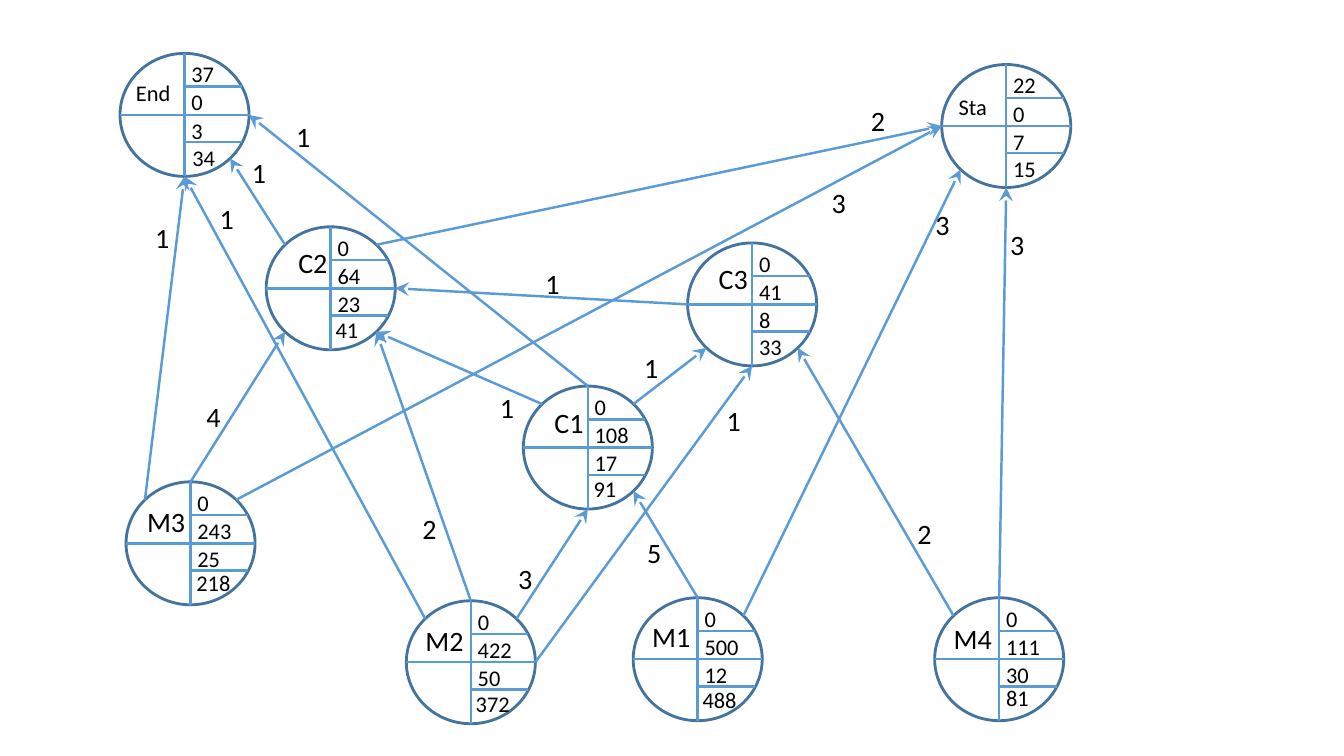
import math
from dataclasses import dataclass
from enum import IntEnum

import lxml.etree
import pptx
import pptx.dml.color
import pptx.enum.shapes
import pptx.enum.text
import pptx.oxml.ns
import pptx.shapes.autoshape
import pptx.shapes.connector
import pptx.slide
import pptx.util

Inches = pptx.util.Inches
qn = pptx.oxml.ns.qn

COLORS = {"outline": "43739E", "line": "5B9BD5", "text": "000000"}
FONT = "Calibri"
WIDTH, HEIGHT = 1.28, 1.22
ROW_STEP = 0.28
UPPER_RULE, LOWER_RULE, RULE_LENGTH = 0.33, 0.88, 0.57
VALUE_SIZE, NAME_SIZE = 16, 20


class Site(IntEnum):
    TOP = 0
    TOP_LEFT = 1
    LEFT = 2
    BOTTOM_LEFT = 3
    BOTTOM = 4
    BOTTOM_RIGHT = 5
    RIGHT = 6
    TOP_RIGHT = 7


@dataclass(frozen=True)
class Node:
    name: str
    center_x: float
    top: float
    name_dx: float
    name_dy: float
    name_width: float
    values: tuple[int, int, int, int]
    last_dx: float = -0.03
    last_dy: float = 0.85
    name_size: int = NAME_SIZE

    def site(self, site: Site) -> tuple[float, float]:
        angle = math.radians(90 + 45 * site)
        return (self.center_x + WIDTH / 2 * math.cos(angle),
                self.top + HEIGHT / 2 * (1 - math.sin(angle)))


@dataclass(frozen=True)
class Edge:
    source: str
    source_site: Site
    target: str
    target_site: Site
    weight: int
    label_left: float
    label_top: float


NODES = [
    Node("End", 1.83, 0.53, -0.58, 0.21, 0.55, (37, 0, 3, 34), -0.02, name_size=VALUE_SIZE),
    Node("Sta", 9.98, 0.64, -0.57, 0.24, 0.48, (22, 0, 7, 15), name_size=VALUE_SIZE),
    Node("C2", 3.28, 2.25, -0.42, 0.14, 0.49, (0, 64, 23, 41), -0.05, 0.84),
    Node("C1", 5.83, 3.83, -0.43, 0.14, 0.49, (0, 108, 17, 91), -0.04, 0.83),
    Node("C3", 7.46, 2.41, -0.43, 0.14, 0.49, (0, 41, 8, 33)),
    Node("M3", 1.89, 4.78, -0.53, 0.18, 0.58, (0, 243, 25, 218), -0.04, 0.82),
    Node("M2", 4.67, 5.96, -0.55, 0.18, 0.58, (0, 422, 50, 372), -0.05, 0.84),
    Node("M1", 6.92, 5.93, -0.55, 0.17, 0.58, (0, 500, 12, 488), -0.05, 0.83),
    Node("M4", 9.91, 5.93, -0.55, 0.19, 0.58, (0, 111, 30, 81), -0.03, 0.81),
]

EDGES = [
    Edge("C2", Site.TOP_LEFT, "End", Site.BOTTOM_RIGHT, 1, 2.4, 1.49),
    Edge("C2", Site.TOP_RIGHT, "Sta", Site.LEFT, 2, 8.54, 0.98),
    Edge("M2", Site.TOP_LEFT, "End", Site.BOTTOM, 1, 2.08, 1.95),
    Edge("C1", Site.TOP, "End", Site.RIGHT, 1, 2.84, 1.14),
    Edge("M3", Site.TOP_LEFT, "End", Site.BOTTOM, 1, 1.44, 2.14),
    Edge("M1", Site.TOP_RIGHT, "Sta", Site.BOTTOM_LEFT, 3, 9.18, 2.01),
    Edge("M4", Site.TOP, "Sta", Site.BOTTOM, 3, 9.92, 2.21),
    Edge("M2", Site.TOP, "C2", Site.BOTTOM_RIGHT, 2, 4.09, 5.03),
    Edge("M3", Site.TOP, "C2", Site.BOTTOM_LEFT, 4, 1.95, 3.91),
    Edge("C3", Site.LEFT, "C2", Site.RIGHT, 1, 5.31, 2.59),
    Edge("C1", Site.TOP_RIGHT, "C3", Site.BOTTOM_LEFT, 1, 6.29, 3.43),
    Edge("M2", Site.TOP_RIGHT, "C1", Site.BOTTOM, 3, 5.04, 5.52),
    Edge("M1", Site.TOP, "C1", Site.BOTTOM_RIGHT, 5, 6.32, 5.26),
    Edge("M2", Site.RIGHT, "C3", Site.BOTTOM, 1, 7.11, 3.95),
    Edge("M3", Site.TOP_RIGHT, "Sta", Site.LEFT, 3, 8.15, 1.79),
    Edge("M4", Site.TOP_LEFT, "C3", Site.BOTTOM_RIGHT, 2, 9, 5.07),
    Edge("C1", Site.TOP_LEFT, "C2", Site.BOTTOM_RIGHT, 1, 4.86, 3.83),
]


def color(name: str) -> pptx.dml.color.RGBColor:
    return pptx.dml.color.RGBColor.from_string(COLORS[name])


def add_text(slide: pptx.slide.Slide, text: str, left: float, top: float,
             width: float, size: int) -> None:
    height = 0.37 if size == VALUE_SIZE else 0.44
    box = slide.shapes.add_textbox(Inches(left), Inches(top), Inches(width), Inches(height))
    frame = box.text_frame
    frame.word_wrap = False
    frame.auto_size = pptx.enum.text.MSO_AUTO_SIZE.SHAPE_TO_FIT_TEXT
    paragraph = frame.paragraphs[0]
    paragraph.text = text
    paragraph.font.name = FONT
    paragraph.font.size = pptx.util.Pt(size)
    paragraph.font.color.rgb = color("text")


def add_line(slide: pptx.slide.Slide, start: tuple[float, float],
             end: tuple[float, float]) -> pptx.shapes.connector.Connector:
    connector = slide.shapes.add_connector(
        pptx.enum.shapes.MSO_CONNECTOR.STRAIGHT, *map(Inches, start + end))
    connector.line.color.rgb = color("line")
    connector.line.width = pptx.util.Pt(1.75)
    lxml.etree.SubElement(connector._element.spPr, qn("a:effectLst"))
    return connector


def glue(connector: pptx.shapes.connector.Connector, tag: str,
         circle: pptx.shapes.autoshape.Shape, site: Site) -> None:
    properties = connector._element.nvCxnSpPr.cNvCxnSpPr
    lxml.etree.SubElement(properties, qn(tag), id=str(circle.shape_id), idx=str(int(site)))


def add_node(slide: pptx.slide.Slide, node: Node) -> pptx.shapes.autoshape.Shape:
    circle = slide.shapes.add_shape(
        pptx.enum.shapes.MSO_SHAPE.OVAL, Inches(node.center_x - WIDTH / 2),
        Inches(node.top), Inches(WIDTH), Inches(HEIGHT))
    circle.shadow.inherit = False
    circle.fill.background()
    circle.line.color.rgb = color("outline")
    circle.line.width = pptx.util.Pt(2)

    for first, last in ((Site.TOP, Site.BOTTOM), (Site.RIGHT, Site.LEFT)):
        divider = add_line(slide, node.site(first), node.site(last))
        glue(divider, "a:stCxn", circle, first)
        glue(divider, "a:endCxn", circle, last)
    for offset in (UPPER_RULE, LOWER_RULE):
        y = node.top + offset
        add_line(slide, (node.center_x + RULE_LENGTH, y), (node.center_x, y))

    add_text(slide, node.name, node.center_x + node.name_dx, node.top + node.name_dy,
             node.name_width, node.name_size)
    offsets = [(-0.03, 0.02 + row * ROW_STEP) for row in range(3)]
    offsets.append((node.last_dx, node.last_dy))
    for value, (dx, dy) in zip(node.values, offsets):
        text = str(value)
        add_text(slide, text, node.center_x + dx, node.top + dy,
                 0.21 + 0.11 * len(text), VALUE_SIZE)
    return circle


def add_edge(slide: pptx.slide.Slide, edge: Edge, nodes: dict[str, Node],
             circles: dict[str, pptx.shapes.autoshape.Shape]) -> None:
    arrow = add_line(slide, nodes[edge.source].site(edge.source_site),
                     nodes[edge.target].site(edge.target_site))
    glue(arrow, "a:stCxn", circles[edge.source], edge.source_site)
    glue(arrow, "a:endCxn", circles[edge.target], edge.target_site)
    outline = arrow.line._get_or_add_ln()
    lxml.etree.SubElement(outline, qn("a:tailEnd"), type="stealth", w="lg", len="lg")
    add_text(slide, str(edge.weight), edge.label_left, edge.label_top, 0.34, NAME_SIZE)


def main() -> None:
    presentation = pptx.Presentation()
    presentation.slide_width = Inches(13.33)
    presentation.slide_height = Inches(7.5)
    slide = presentation.slides.add_slide(presentation.slide_layouts[6])
    nodes = {node.name: node for node in NODES}
    circles = {node.name: add_node(slide, node) for node in NODES}
    for edge in EDGES:
        add_edge(slide, edge, nodes, circles)
    presentation.save("out.pptx")


if __name__ == "__main__":
    main()
